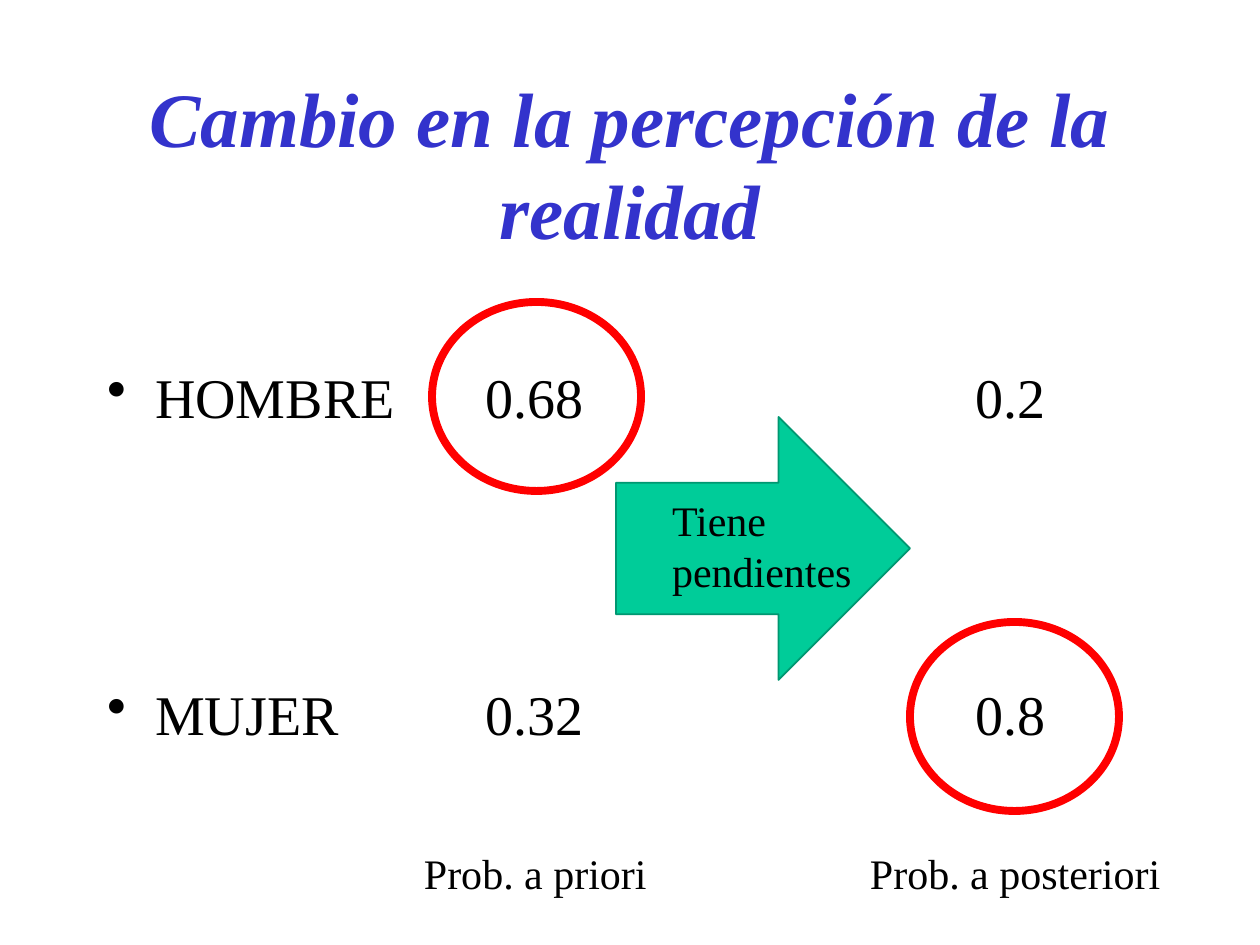
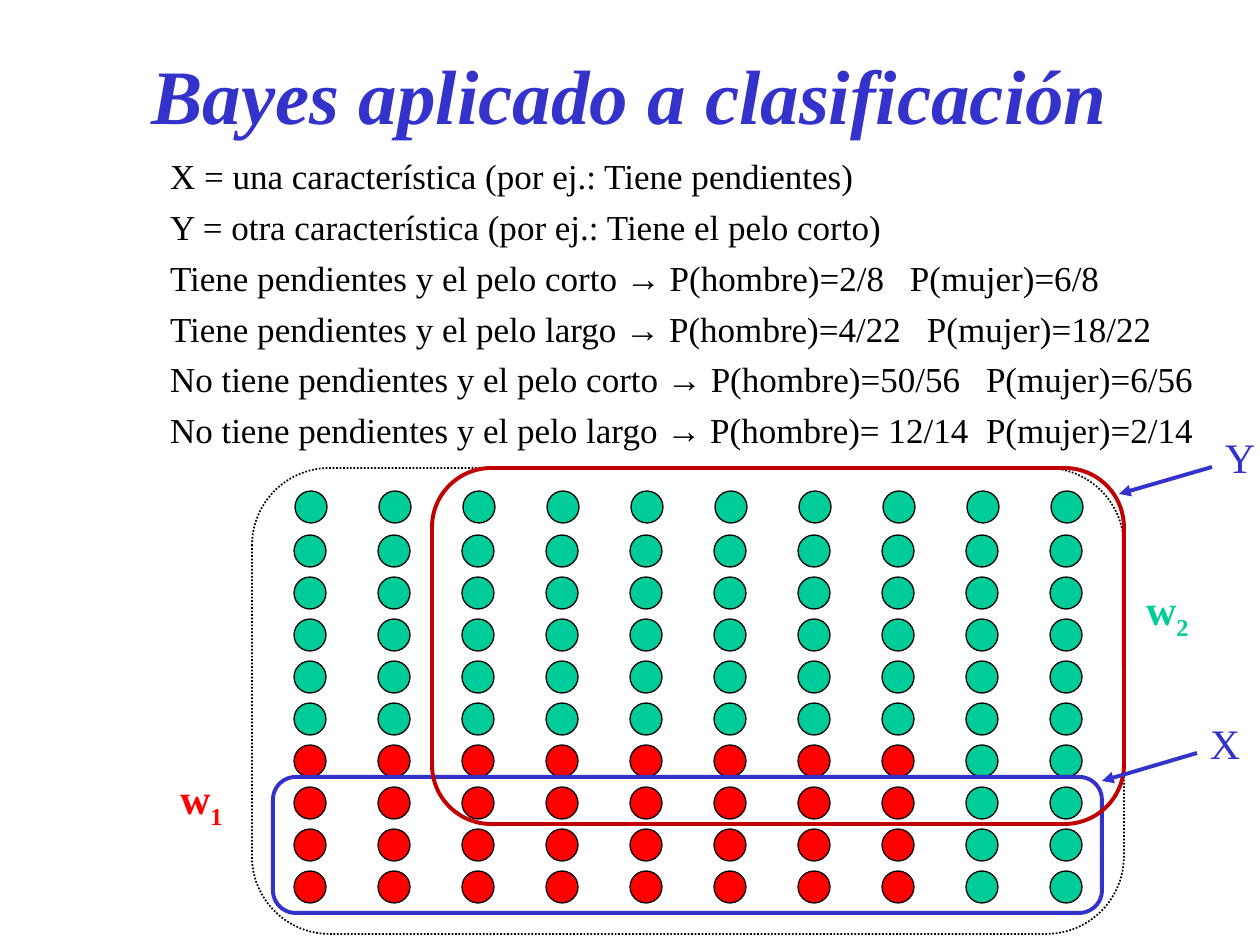
from dataclasses import dataclass

from lxml.etree import SubElement
from pptx import Presentation
from pptx.dml.color import RGBColor
from pptx.enum.dml import MSO_LINE
from pptx.enum.shapes import MSO_CONNECTOR, MSO_SHAPE as Preset
from pptx.enum.text import MSO_ANCHOR, PP_ALIGN
from pptx.oxml.ns import qn
from pptx.util import Pt


@dataclass(frozen=True)
class Theme:
    font: str = "Times New Roman"
    blue: RGBColor = RGBColor(0x33, 0x33, 0xCC)
    green: RGBColor = RGBColor(0x00, 0xCC, 0x99)
    dark_green: RGBColor = RGBColor(0x00, 0x97, 0x71)
    red: RGBColor = RGBColor(0xFF, 0x00, 0x00)
    dark_red: RGBColor = RGBColor(0xC0, 0x00, 0x00)
    black: RGBColor = RGBColor(0x00, 0x00, 0x00)
    title: int = 44
    body: int = 32
    label: int = 24
    rule: int = 20


theme = Theme()
PX = 914400 / 126


def write(shapes, box, lines, size, color=theme.black, gap=0, wrap=False, **styles):
    frame = shapes.add_textbox(*[round(v * PX) for v in box]).text_frame
    layout = dict(word_wrap=wrap, margin_left=0, margin_right=0, margin_top=0, margin_bottom=0)
    for name, value in layout.items():
        setattr(frame, name, value)
    for i, line in enumerate(lines):
        paragraph = frame.paragraphs[0] if i == 0 else frame.add_paragraph()
        if i:
            paragraph.space_before = Pt(gap)
        run = paragraph.add_run()
        run.text = line
        for name, value in dict(name=theme.font, size=Pt(size), **styles).items():
            setattr(run.font, name, value)
        run.font.color.rgb = color
    return frame


def draw(shapes, preset, box, line, weight, fill=None):
    shape = shapes.add_shape(preset, *[round(v * PX) for v in box])
    shape.shadow.inherit = False
    if fill is None:
        shape.fill.background()
    else:
        shape.fill.solid()
        shape.fill.fore_color.rgb = fill
    shape.line.color.rgb = line
    shape.line.width = Pt(weight)
    return shape


deck = Presentation()
deck.slide_width, deck.slide_height = round(1260 * PX), round(945 * PX)

# Slides and their titles
slides = []
for heading, top in [("Cambio en la percepción de la realidad", 84),
                     ("Bayes aplicado a clasificación", 15)]:
    slide = deck.slides.add_slide(deck.slide_layouts[6])
    title = write(slide.shapes, (107, top, 1046, 158), [heading], theme.title, theme.blue,
                  wrap=True, bold=True, italic=True)
    title.vertical_anchor = MSO_ANCHOR.MIDDLE
    title.paragraphs[0].alignment = PP_ALIGN.CENTER
    slides.append(slide.shapes)
perception, bayes = slides

# Classes with their prior and posterior probabilities
for left, width, column in [(107, 310, ["HOMBRE", "MUJER"]),
                            (485, 110, ["0.68", "0.32"]),
                            (975, 80, ["0.2", "0.8"])]:
    rows = write(perception, (left, 363, width, 380), column, theme.body, gap=142.6, wrap=True)
    if left == 107:
        for paragraph in rows.paragraphs:
            props = paragraph._p.get_or_add_pPr()
            props.set("marL", str(round(48 * PX)))
            props.set("indent", str(round(-48 * PX)))
            SubElement(props, qn("a:buChar")).set("char", "•")

# Evidence arrow
evidence = perception.add_group_shape().shapes
draw(evidence, Preset.RIGHT_ARROW, (616, 417, 294, 263), theme.dark_green, 1, theme.green)
write(evidence, (672, 495, 181, 102), ["Tiene", "pendientes"], theme.label)

# Most likely class before and after
for left, top in [(432, 302), (910, 622)]:
    draw(perception, Preset.OVAL, (left, top, 209, 189), theme.red, 4.5)
for left, width, caption in [(424, 224, "Prob. a priori"), (870, 292, "Prob. a posteriori")]:
    write(perception, (left, 848, width, 51), [caption], theme.label)

# Features and the probabilities they lead to, with the tab before P(mujer)
rules = [
    ("X = una característica (por ej.: Tiene pendientes)", None),
    ("Y = otra característica (por ej.: Tiene el pelo corto)", None),
    ("Tiene pendientes y el pelo corto → P(hombre)=2/8\tP(mujer)=6/8", 740),
    ("Tiene pendientes y el pelo largo → P(hombre)=4/22\tP(mujer)=18/22", 757),
    ("No tiene pendientes y el pelo corto → P(hombre)=50/56\tP(mujer)=6/56", 816),
    ("No tiene pendientes y el pelo largo → P(hombre)= 12/14\tP(mujer)=2/14", 816),
]
listing = write(bayes, (170, 155, 1080, 290), [text for text, _ in rules], theme.rule,
                gap=5, wrap=True)
for paragraph, (_, stop) in zip(listing.paragraphs, rules):
    if stop:
        tabs = SubElement(paragraph._p.get_or_add_pPr(), qn("a:tabLst"))
        SubElement(tabs, qn("a:tab"), pos=str(round(stop * PX)), algn="l")

# Population: the first row stands slightly apart
for row in range(10):
    left, top = (295, 491) if row == 0 else (294, 493 + 42 * row)
    for col in range(10):
        group_color = theme.red if row >= 6 and col < 8 else theme.green
        draw(bayes, Preset.OVAL, (left + 84 * col, top, 32, 32), theme.black, 0.75, group_color)

# Whole population, feature X and feature Y
population = draw(bayes, Preset.ROUNDED_RECTANGLE, (252, 468, 872, 466), theme.black, 1)
population.line.dash_style = MSO_LINE.ROUND_DOT
draw(bayes, Preset.ROUNDED_RECTANGLE, (273, 777, 829, 136), theme.blue, 2.25)
draw(bayes, Preset.ROUNDED_RECTANGLE, (432, 468, 692, 356), theme.dark_red, 2.25)

# Class labels
for left, top, index, color in [(180, 773, "1", theme.red), (1146, 584, "2", theme.green)]:
    name = write(bayes, (left, top, 44, 51), ["w"], theme.label, color, bold=True)
    subscript = name.paragraphs[0].add_run()
    subscript.text = index
    for attr, value in dict(name=theme.font, size=Pt(theme.label), bold=True).items():
        setattr(subscript.font, attr, value)
    subscript.font.color.rgb = color
    subscript._r.get_or_add_rPr().set("baseline", "-25000")

# Feature labels and pointers
for feature, label_at, ends in [("X", (1210, 718), (1197, 753, 1102, 781)),
                                ("Y", (1225, 432), (1212, 467, 1119, 494))]:
    write(bayes, (*label_at, 31, 51), [feature], theme.label, theme.blue)
    pointer = bayes.add_connector(MSO_CONNECTOR.STRAIGHT, *[round(v * PX) for v in ends])
    pointer.line.color.rgb = theme.blue
    pointer.line.width = Pt(2.25)
    SubElement(pointer.line._get_or_add_ln(), qn("a:tailEnd"), type="triangle")
    SubElement(pointer._element.spPr, qn("a:effectLst"))

deck.save("out.pptx")
